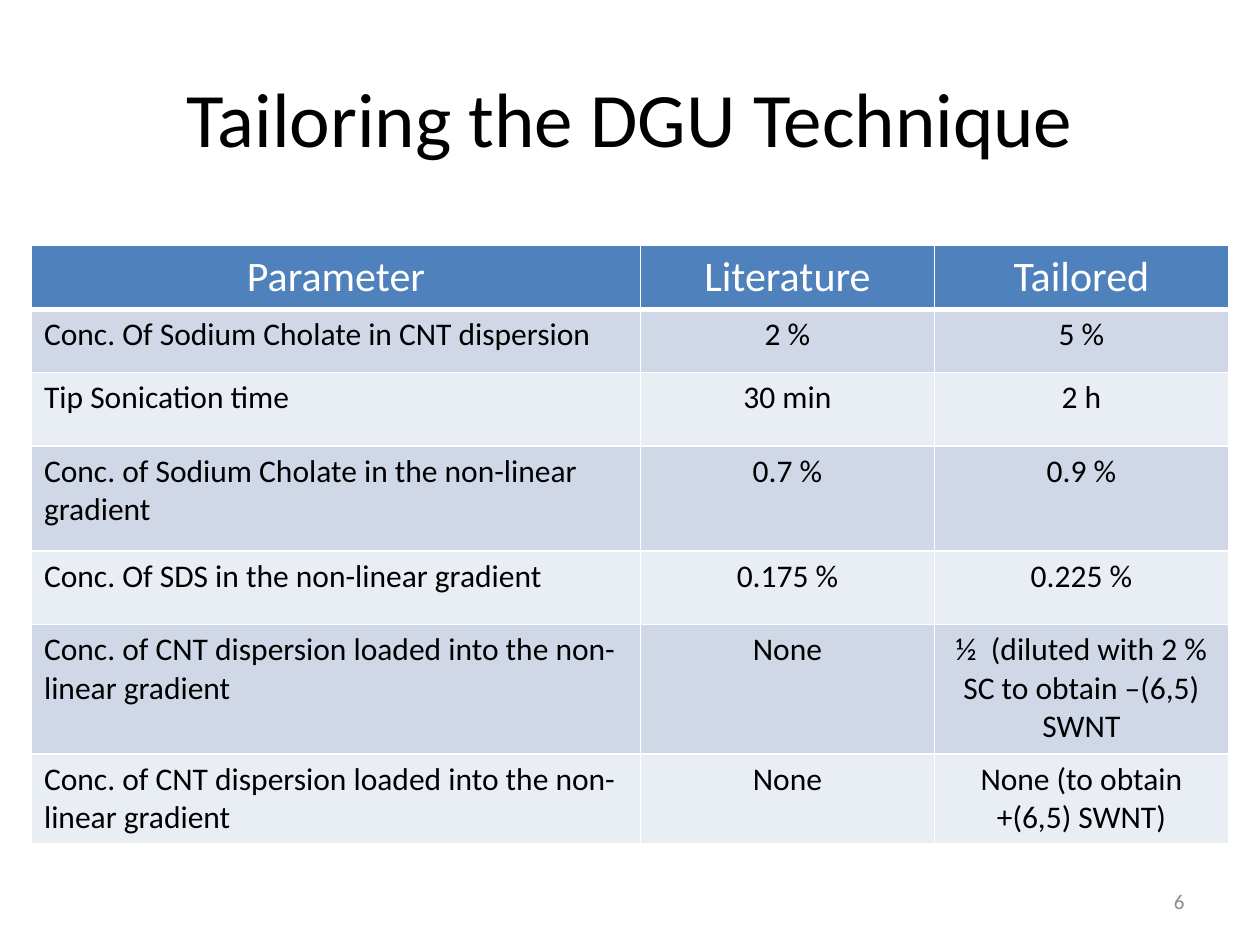
from lxml.etree import SubElement
from pptx import Presentation
from pptx.dml.color import RGBColor
from pptx.enum.text import MSO_ANCHOR, PP_ALIGN
from pptx.oxml.ns import qn
from pptx.util import Pt

COLORS = {
    "ink": "000000",
    "paper": "FFFFFF",
    "header": "4F81BD",
    "odd_row": "D0D8E8",
    "even_row": "E9EDF4",
    "page_number": "8C8C8C",
}
FORMATS = {
    "title": {"name": "Calibri", "size": Pt(44), "bold": False},
    "header": {"name": "Calibri", "size": Pt(24), "bold": False},
    "body": {"name": "Calibri", "size": Pt(18), "bold": False},
    "page_number": {"name": "Calibri", "size": Pt(12), "bold": False},
}
COLUMN_WIDTHS = [348, 168, 168]
ROW_HEIGHTS = [30, 36, 42, 60, 42, 74, 30]
PARAMETERS = [
    ("Parameter", "Literature", "Tailored"),
    ("Conc. Of Sodium Cholate in CNT dispersion", "2 %", "5 %"),
    ("Tip Sonication time", "30 min", "2 h"),
    ("Conc. of Sodium Cholate in the non-linear gradient", "0.7 %", "0.9 %"),
    ("Conc. Of SDS in the non-linear gradient", "0.175 %", "0.225 %"),
    ("Conc. of CNT dispersion loaded into the non-linear gradient", "None",
     "½  (diluted with 2 % SC to obtain –(6,5) SWNT"),
    ("Conc. of CNT dispersion loaded into the non-linear gradient", "None",
     "None (to obtain +(6,5) SWNT)"),
]


def write_text(frame, text, format_name, color, align):
    frame.word_wrap = True
    paragraph = frame.paragraphs[0]
    paragraph.alignment = align
    run = paragraph.add_run()
    run.text = text
    for attribute, value in FORMATS[format_name].items():
        setattr(run.font, attribute, value)
    run.font.color.rgb = RGBColor.from_string(COLORS[color])


def place(part, left, top, width, height):
    bounds = {"left": left, "top": top, "width": width, "height": height}
    for attribute, value in bounds.items():
        setattr(part, attribute, Pt(value))


def add_title(slide, text):
    title = slide.shapes.title
    place(title, 36, 21.6, 648, 90)
    title.text_frame.vertical_anchor = MSO_ANCHOR.MIDDLE
    write_text(title.text_frame, text, "title", "ink", PP_ALIGN.CENTER)


def add_page_number(slide, number):
    page_number = slide.shapes.add_textbox(Pt(516), Pt(500.4), Pt(168), Pt(28.8))
    page_number.text_frame.vertical_anchor = MSO_ANCHOR.MIDDLE
    write_text(page_number.text_frame, number, "page_number", "page_number",
               PP_ALIGN.RIGHT)


def draw_borders(cell, bottom, top):
    properties = cell._tc.get_or_add_tcPr()
    for side, width in {"L": 1, "R": 1, "T": top, "B": bottom}.items():
        border = SubElement(properties, qn(f"a:ln{side}"), w=str(Pt(width)))
        fill = SubElement(border, qn("a:solidFill"))
        SubElement(fill, qn("a:srgbClr"), val=COLORS["paper"])


def fill_cell(cell, text, row, column):
    is_header = row == 0
    draw_borders(cell, bottom=3 if is_header else 1, top=3 if row == 1 else 1)
    band = "header" if is_header else "odd_row" if row % 2 else "even_row"
    cell.fill.solid()
    cell.fill.fore_color.rgb = RGBColor.from_string(COLORS[band])
    centered = is_header or column > 0
    write_text(cell.text_frame, text,
               "header" if is_header else "body",
               "paper" if is_header else "ink",
               PP_ALIGN.CENTER if centered else PP_ALIGN.LEFT)


def add_parameter_table(slide):
    table = slide.shapes.add_table(
        len(ROW_HEIGHTS), len(COLUMN_WIDTHS), Pt(18), Pt(140.4),
        Pt(sum(COLUMN_WIDTHS)), Pt(sum(ROW_HEIGHTS))).table
    for column, width in zip(table.columns, COLUMN_WIDTHS):
        column.width = Pt(width)
    for row, height in zip(table.rows, ROW_HEIGHTS):
        row.height = Pt(height)
    for row, entries in enumerate(PARAMETERS):
        for column, text in enumerate(entries):
            fill_cell(table.cell(row, column), text, row, column)


def main():
    deck = Presentation()
    deck.slide_width, deck.slide_height = Pt(720), Pt(540)
    slide = deck.slides.add_slide(deck.slide_layouts.get_by_name("Title Only"))
    add_title(slide, "Tailoring the DGU Technique")
    add_parameter_table(slide)
    add_page_number(slide, "6")
    deck.save("out.pptx")


if __name__ == "__main__":
    main()
